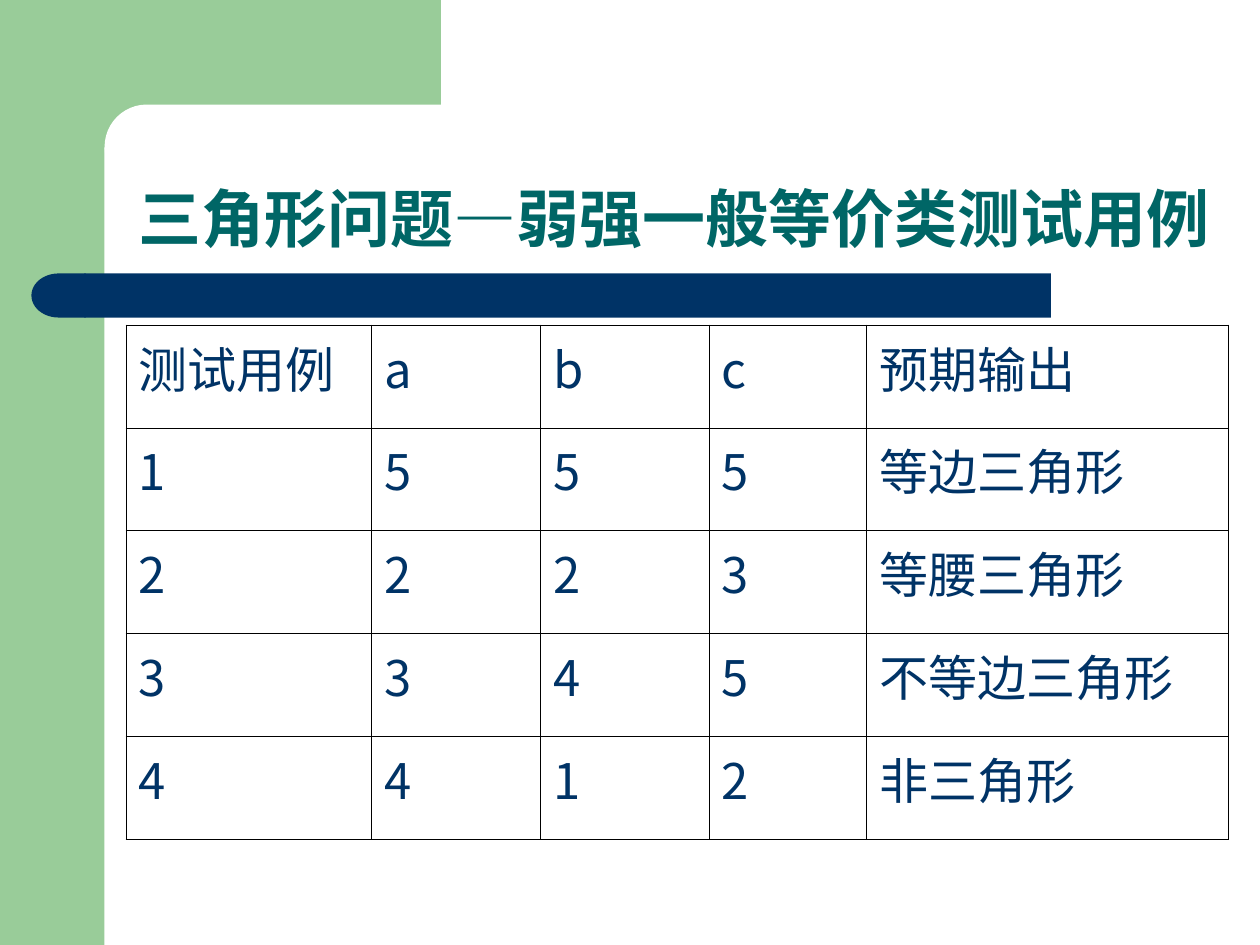
from dataclasses import dataclass

from lxml.etree import SubElement
from pptx import Presentation
from pptx.dml.color import RGBColor
from pptx.enum.shapes import MSO_SHAPE
from pptx.enum.text import MSO_ANCHOR, MSO_AUTO_SIZE, PP_ALIGN
from pptx.oxml.ns import qn
from pptx.util import Inches, Pt


@dataclass(frozen=True)
class Theme:
    green: str = "99CC99"
    navy: str = "003366"
    teal: str = "006666"
    white: str = "FFFFFF"
    black: str = "000000"
    head_font: str = "Arial"
    cell_font: str = "Noto Sans CJK SC"
    head_size: int = 36
    cell_size: int = 28
    rule: float = 0.45


THEME = Theme()

TITLE = "三角形问题—弱强一般等价类测试用例"
TITLE_BOX = (1, 0.83, 8.75, 1.25)

CASES = [
    ("测试用例", "a", "b", "c", "预期输出"),
    ("1", "5", "5", "5", "等边三角形"),
    ("2", "2", "2", "3", "等腰三角形"),
    ("3", "3", "4", "5", "不等边三角形"),
    ("4", "4", "1", "2", "非三角形"),
]
TABLE_BOX = (1, 2.58, 8.75, 4.08)
COLS = (1.95, 1.34, 1.34, 1.25, 2.87)
INDENT = 0.38

# preset, box, colour, corner, flipped
DECOR = [
    (MSO_SHAPE.RECTANGLE, (0, 0, 0.83, 7.5), THEME.green, None, False),
    (MSO_SHAPE.RECTANGLE, (0.75, 0, 2.75, 1.17), THEME.green, None, False),
    (MSO_SHAPE.ROUNDED_RECTANGLE, (0.83, 0.83, 5.58, 0.67), THEME.white, 0.5, False),
    (MSO_SHAPE.ROUNDED_RECTANGLE, (0.67, 2.17, 7.67, 0.35), THEME.navy, 0, False),
    (MSO_SHAPE.FLOWCHART_DELAY, (0.25, 2.17, 0.43, 0.35), THEME.navy, None, True),
]


def color(code):
    return RGBColor.from_string(code)


def inches(box):
    return [Inches(n) for n in box]


def add_run(para, text, font, size, code, bold=False):
    run = para.add_run()
    run.text = text
    run.font.name = font
    run.font.size = Pt(size)
    run.font.bold = bold
    run.font.color.rgb = color(code)
    return run


def add_decor(slide):
    for kind, box, code, corner, flip in DECOR:
        shape = slide.shapes.add_shape(kind, *inches(box))
        shape.shadow.inherit = False
        shape.fill.solid()
        shape.fill.fore_color.rgb = color(code)
        shape.line.fill.background()
        if corner is not None:
            shape.adjustments[0] = corner
        if flip:
            shape._element.spPr.find(qn("a:xfrm")).set("flipH", "1")


def add_title(slide):
    title = slide.shapes.title
    title.left, title.top, title.width, title.height = inches(TITLE_BOX)
    slide.shapes._spTree.append(title._element)  # bring in front of the decor
    frame = title.text_frame
    frame.auto_size = MSO_AUTO_SIZE.NONE
    frame.word_wrap = True
    frame.vertical_anchor = MSO_ANCHOR.BOTTOM
    para = frame.paragraphs[0]
    para.alignment = PP_ALIGN.LEFT
    para.line_spacing = 0.9
    add_run(para, TITLE, THEME.head_font, THEME.head_size, THEME.teal, True)


def add_borders(cell):
    props = cell._tc.get_or_add_tcPr()
    for at, side in enumerate(("a:lnL", "a:lnR", "a:lnT", "a:lnB")):
        line = props.makeelement(qn(side), {"w": str(Pt(THEME.rule))})
        fill = SubElement(line, qn("a:solidFill"))
        SubElement(fill, qn("a:srgbClr"), val=THEME.black)
        props.insert(at, line)


def add_cases(slide):
    shape = slide.shapes.add_table(len(CASES), len(COLS), *inches(TABLE_BOX))
    table = shape.table
    table.first_row = table.horz_banding = False
    for col, width in zip(table.columns, COLS):
        col.width = Inches(width)
    for row, texts in zip(table.rows, CASES):
        row.height = Inches(TABLE_BOX[3] / len(CASES))
        for cell, text in zip(row.cells, texts):
            cell.fill.background()
            add_borders(cell)
            para = cell.text_frame.paragraphs[0]
            props = para._p.get_or_add_pPr()
            props.set("marL", str(Inches(INDENT)))
            props.set("indent", str(-Inches(INDENT)))
            run = add_run(para, text, THEME.cell_font, THEME.cell_size, THEME.navy)
            SubElement(run.font._element, qn("a:ea"), typeface=THEME.cell_font)


def main():
    deck = Presentation()
    deck.slide_width, deck.slide_height = Inches(10), Inches(7.5)
    slide = deck.slides.add_slide(deck.slide_layouts[5])
    add_decor(slide)
    add_title(slide)
    add_cases(slide)
    deck.save("out.pptx")


if __name__ == "__main__":
    main()
